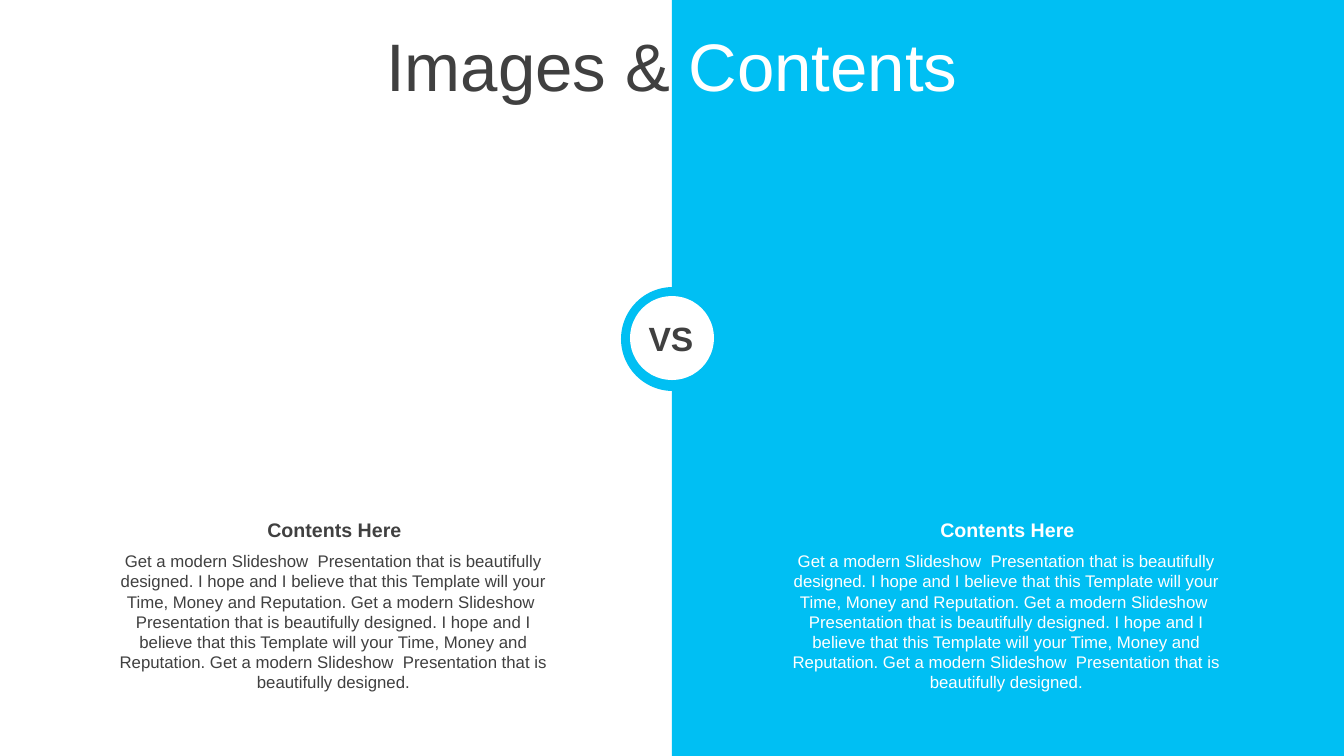
from dataclasses import dataclass

import pptx
import pptx.dml.color
import pptx.enum.shapes
import pptx.enum.text
import pptx.util

PITCH = "Get a modern Slideshow  Presentation that is beautifully designed."
HOPE = "I hope and I believe that this Template will your Time, Money and Reputation."

TITLE = ("Images & ", "Contents")
VERSUS = "VS"
HEADING = "Contents Here"
BODY = " ".join((PITCH, HOPE, PITCH, HOPE, PITCH))


@dataclass(frozen=True)
class Theme:
    font: str = "Arial"
    dark: str = "404040"
    white: str = "FFFFFF"
    cyan: str = "00BFF3"
    title_size: int = 48
    versus_size: int = 24
    heading_size: int = 14
    body_size: int = 12


THEME = Theme()
PX = 914400 / 100.8
WIDTH, HEIGHT = 1344, 756
HALF = WIDTH // 2
COLUMN_LEFT, COLUMN_STEP, COLUMN_WIDTH = 105, 673, 461
COLUMN_COLORS = (THEME.dark, THEME.white)


def px(*lengths):
    return [pptx.util.Emu(round(length * PX)) for length in lengths]


def rgb(color):
    return pptx.dml.color.RGBColor.from_string(color)


def add_filled(slide, preset, box, color):
    shape = slide.shapes.add_shape(preset, *px(*box))
    shape.shadow.inherit = False
    shape.fill.solid()
    shape.fill.fore_color.rgb = rgb(color)
    shape.line.fill.background()
    return shape


def write(frame, *texts, colors, size, bold=False, insets=(10, 5, 12, 5),
          anchor=pptx.enum.text.MSO_ANCHOR.TOP, line_spacing=None):
    frame.word_wrap = True
    frame.auto_size = pptx.enum.text.MSO_AUTO_SIZE.NONE
    frame.vertical_anchor = anchor
    (frame.margin_left, frame.margin_top,
     frame.margin_right, frame.margin_bottom) = px(*insets)
    paragraph = frame.paragraphs[0]
    paragraph.alignment = pptx.enum.text.PP_ALIGN.CENTER
    paragraph.line_spacing = line_spacing
    for text, color in zip(texts, colors):
        run = paragraph.add_run()
        run.text = text
        run.font.name = THEME.font
        run.font.size = pptx.util.Pt(size)
        run.font.bold = bold
        run.font.color.rgb = rgb(color)


def main():
    deck = pptx.Presentation()
    deck.slide_width, deck.slide_height = px(WIDTH, HEIGHT)
    slide = deck.slides.add_slide(deck.slide_layouts[5])
    shapes = slide.shapes
    presets = pptx.enum.shapes.MSO_SHAPE

    title = shapes.title
    title.left, title.top, title.width, title.height = px(0, 30, WIDTH, 79)
    write(title.text_frame, *TITLE, colors=COLUMN_COLORS, size=THEME.title_size,
          insets=(10, 5, 10, 5), anchor=pptx.enum.text.MSO_ANCHOR.MIDDLE,
          line_spacing=0.9)

    right_half = add_filled(slide, presets.RECTANGLE, (HALF, 0, HALF, HEIGHT), THEME.cyan)
    title.element.addprevious(right_half.element)

    add_filled(slide, presets.OVAL, (621, 287, 104, 104), THEME.cyan)
    add_filled(slide, presets.OVAL, (630, 296, 84, 84), THEME.white)
    versus = shapes.add_textbox(*px(637, 313, 70, 50))
    write(versus.text_frame, VERSUS, colors=[THEME.dark],
          size=THEME.versus_size, bold=True)

    for index, color in enumerate(COLUMN_COLORS):
        left = COLUMN_LEFT + index * COLUMN_STEP
        heading = shapes.add_textbox(*px(left, 513, COLUMN_WIDTH, 34))
        write(heading.text_frame, HEADING, colors=[color],
              size=THEME.heading_size, bold=True)
        body = shapes.add_textbox(*px(left, 546, COLUMN_WIDTH, 152))
        write(body.text_frame, BODY, colors=[color], size=THEME.body_size,
              insets=(8, 5, 12, 5))

    deck.save("out.pptx")


if __name__ == "__main__":
    main()
